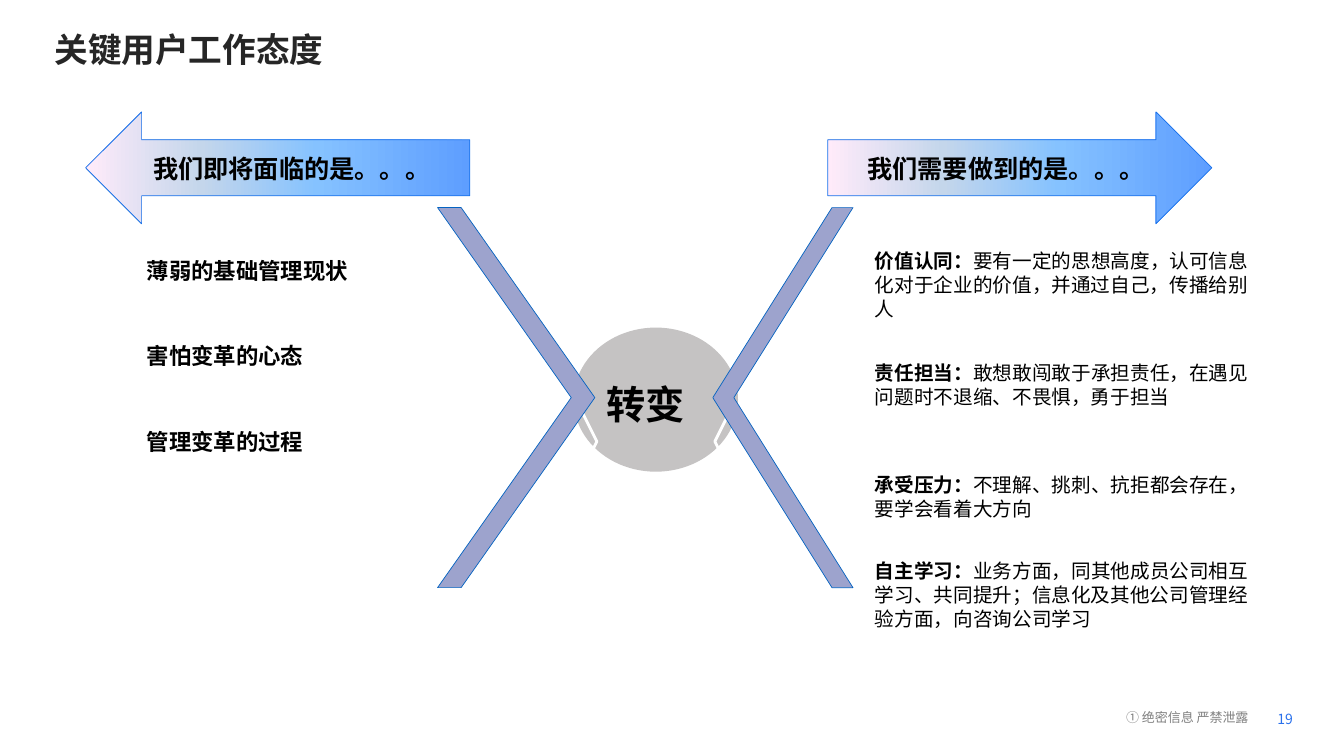
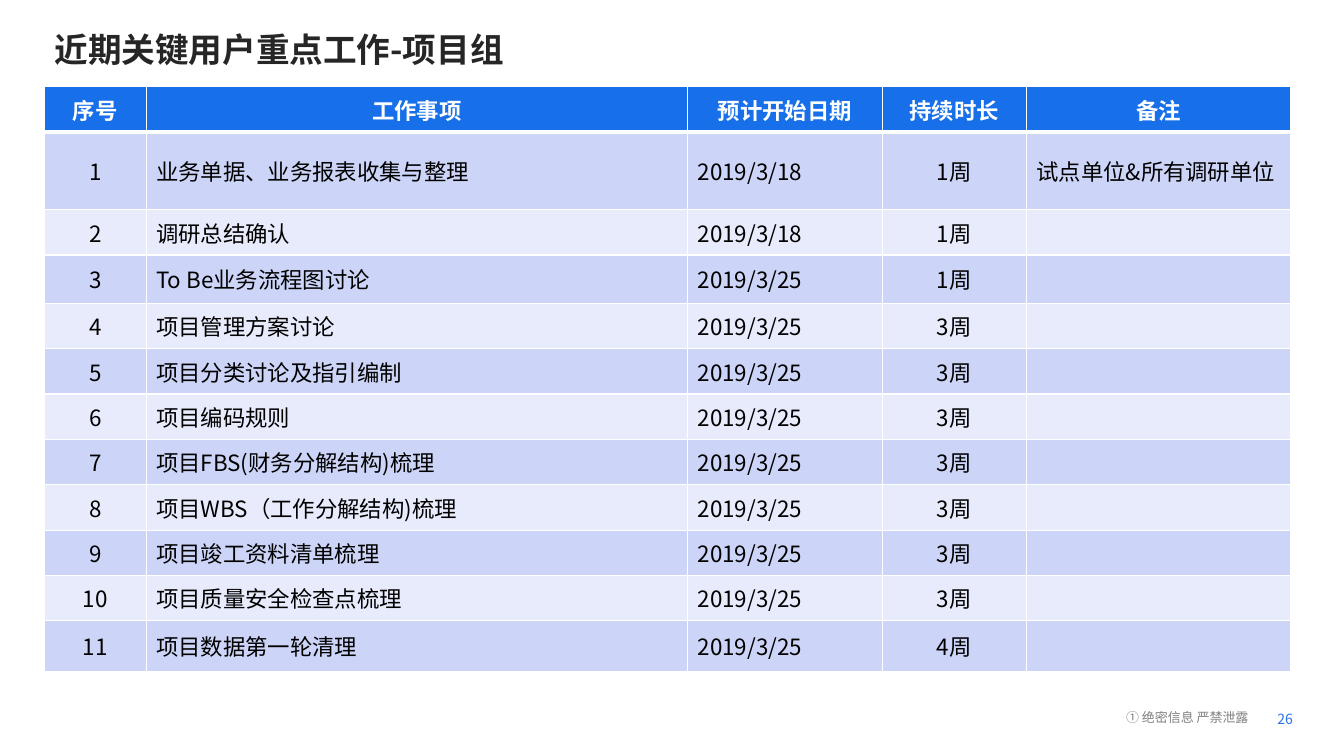
from dataclasses import dataclass
from typing import Any

import lxml.etree
import pptx
import pptx.dml.color
import pptx.enum.shapes
import pptx.enum.text
import pptx.oxml
import pptx.oxml.ns
import pptx.util

Inches = pptx.util.Inches
Shapes = pptx.enum.shapes.MSO_SHAPE
Align = pptx.enum.text.PP_ALIGN
Anchor = pptx.enum.text.MSO_ANCHOR


# Theme
@dataclass(frozen=True)
class Theme:
    font: str = "Noto Sans CJK SC"
    title_color: str = "262626"
    text_color: str = "000000"
    white: str = "FFFFFF"
    blue: str = "1770EA"
    page_color: str = "2A71EC"
    footer_color: str = "808080"
    circle: str = "C5C3C3"
    chevron: str = "9DA3CD"
    chevron_line: str = "0563C1"
    bands: tuple[str, str] = ("CCD5F7", "E8EBFB")
    gradient: tuple[tuple[int, str], ...] = (
        (0, "5E9EFF"), (40, "85C2FF"), (70, "C4D6EB"), (100, "FFEBFA"))
    title_size: float = 24
    hub_size: float = 28
    arrow_size: float = 18
    item_size: float = 16
    body_size: float = 14
    page_size: float = 10
    footer_size: float = 9.3
    line_ratio: float = 1.23


THEME = Theme()


@dataclass(frozen=True)
class Box:
    left: float
    top: float
    width: float
    height: float

    def lengths(self) -> tuple[int, int, int, int]:
        return (Inches(self.left), Inches(self.top),
                Inches(self.width), Inches(self.height))


@dataclass(frozen=True)
class Run:
    text: str
    size: float
    color: str = THEME.text_color
    bold: bool = False


@dataclass(frozen=True)
class Chevron:
    box: Box
    adjustment: float
    fill: str
    line: str
    line_width: float
    rotation: float = 0
    flipped: bool = False


@dataclass(frozen=True)
class Arrow:
    preset: Any
    box: Box
    text: str


@dataclass(frozen=True)
class Duty:
    top: float
    height: float
    heading: str
    text: str


@dataclass(frozen=True)
class Task:
    name: str
    start: str
    duration: str
    remark: str = ""
    height: float = 0.45


# Slide content
CHEVRONS = (
    Chevron(Box(5.77, 4.08, 0.15, 0.6), 1, THEME.blue, THEME.white, 2),
    Chevron(Box(7.09, 4.08, 0.15, 0.6), 1, THEME.blue, THEME.white, 2, flipped=True),
    Chevron(Box(4.34, 2.06, 1.56, 3.77), 0.85, THEME.chevron, THEME.chevron_line, 0.5),
    Chevron(Box(7.07, 2.06, 1.39, 3.77), 0.85, THEME.chevron, THEME.chevron_line, 0.5,
            rotation=180),
)
ARROWS = (
    Arrow(Shapes.LEFT_ARROW, Box(0.85, 1.11, 3.81, 1.11), "我们即将面临的是。。。"),
    Arrow(Shapes.RIGHT_ARROW, Box(8.21, 1.11, 3.81, 1.11), "我们需要做到的是。。。"),
)
CHALLENGES = ("薄弱的基础管理现状", "害怕变革的心态", "管理变革的过程")
DUTIES = (
    Duty(2.41, 0.81, "价值认同：",
         "要有一定的思想高度，认可信息化对于企业的价值，并通过自己，传播给别人"),
    Duty(3.53, 0.57, "责任担当：",
         "敢想敢闯敢于承担责任，在遇见问题时不退缩、不畏惧，勇于担当"),
    Duty(4.64, 0.57, "承受压力：", "不理解、挑刺、抗拒都会存在，要学会看着大方向"),
    Duty(5.49, 0.81, "自主学习：",
         "业务方面，同其他成员公司相互学习、共同提升；信息化及其他公司管理经验方面，向咨询公司学习"),
)
HEADINGS = ("序号", "工作事项", "预计开始日期", "持续时长", "备注")
COLUMN_WIDTHS = (1.01, 5.37, 1.93, 1.43, 2.62)
CENTERED_COLUMNS = (0, 3)
HEADER_HEIGHT = 0.45
TASKS = (
    Task("业务单据、业务报表收集与整理", "2019/3/18", "1周", "试点单位&所有调研单位", 0.77),
    Task("调研总结确认", "2019/3/18", "1周"),
    Task("To Be业务流程图讨论", "2019/3/25", "1周", height=0.48),
    Task("项目管理方案讨论", "2019/3/25", "3周"),
    Task("项目分类讨论及指引编制", "2019/3/25", "3周"),
    Task("项目编码规则", "2019/3/25", "3周"),
    Task("项目FBS(财务分解结构)梳理", "2019/3/25", "3周"),
    Task("项目WBS（工作分解结构)梳理", "2019/3/25", "3周"),
    Task("项目竣工资料清单梳理", "2019/3/25", "3周"),
    Task("项目质量安全检查点梳理", "2019/3/25", "3周"),
    Task("项目数据第一轮清理", "2019/3/25", "4周", height=0.5),
)


# Shared helpers
def rgb(color: str) -> pptx.dml.color.RGBColor:
    return pptx.dml.color.RGBColor.from_string(color)


def add_element(parent: Any, tag: str, **attributes: str) -> Any:
    element = lxml.etree.SubElement(parent, pptx.oxml.ns.qn(tag))
    for name, value in attributes.items():
        element.set(name, value)
    return element


def write_runs(paragraph: Any, runs: tuple[Run, ...], align: Any = Align.LEFT) -> None:
    paragraph.alignment = align
    for item in runs:
        run = paragraph.add_run()
        run.text = item.text
        run.font.size = pptx.util.Pt(item.size)
        run.font.bold = item.bold
        run.font.color.rgb = rgb(item.color)
        run.font.name = THEME.font
        add_element(run.font._element, "a:ea", typeface=THEME.font)


def fill_frame(frame: Any, *runs: Run, align: Any = Align.LEFT, anchor: Any = Anchor.TOP,
               wrap: bool = True, margin: float | None = None) -> None:
    frame.auto_size = pptx.enum.text.MSO_AUTO_SIZE.NONE
    frame.word_wrap = wrap
    frame.vertical_anchor = anchor
    if margin is not None:
        frame.margin_left = frame.margin_right = Inches(margin)
        frame.margin_top = frame.margin_bottom = Inches(margin)
    paragraph = frame.paragraphs[0]
    paragraph.line_spacing = pptx.util.Pt(round(runs[0].size * THEME.line_ratio, 1))
    write_runs(paragraph, runs, align)


def add_text(slide: Any, box: Box, *runs: Run, **options: Any) -> None:
    fill_frame(slide.shapes.add_textbox(*box.lengths()).text_frame, *runs, **options)


def add_shape(slide: Any, preset: Any, box: Box, fill: str | None = None,
              line: str | None = None, line_width: float = 0.5) -> Any:
    shape = slide.shapes.add_shape(preset, *box.lengths())
    shape.shadow.inherit = False
    if fill:
        shape.fill.solid()
        shape.fill.fore_color.rgb = rgb(fill)
    if line:
        shape.line.color.rgb = rgb(line)
        shape.line.width = pptx.util.Pt(line_width)
    else:
        shape.line.fill.background()
    return shape


def add_slide(presentation: Any, title: str, page: int) -> Any:
    slide = presentation.slides.add_slide(presentation.slide_layouts[5])
    placeholder = slide.shapes.title
    placeholder.left, placeholder.top, placeholder.width, placeholder.height = (
        Box(0.44, 0.23, 10.6, 0.51).lengths())
    fill_frame(placeholder.text_frame,
               Run(title, THEME.title_size, THEME.title_color, True))
    add_text(slide, Box(12.67, 7.05, 0.23, 0.17),
             Run(str(page), THEME.page_size, THEME.page_color),
             anchor=Anchor.MIDDLE, wrap=False, margin=0)
    add_text(slide, Box(11.16, 7.02, 1.33, 0.19),
             Run("① 绝密信息 严禁泄露", THEME.footer_size, THEME.footer_color),
             anchor=Anchor.MIDDLE, margin=0.01)
    return slide


# Attitude slide
def add_chevron(slide: Any, chevron: Chevron) -> None:
    shape = add_shape(slide, Shapes.CHEVRON, chevron.box, chevron.fill,
                      chevron.line, chevron.line_width)
    shape.adjustments[0] = chevron.adjustment
    shape.rotation = chevron.rotation
    if chevron.flipped:
        shape._element.spPr.find(pptx.oxml.ns.qn("a:xfrm")).set("flipH", "1")


def add_arrow(slide: Any, arrow: Arrow) -> None:
    shape = add_shape(slide, arrow.preset, arrow.box, line=THEME.blue)
    shape.fill.gradient()
    shape.fill.gradient_angle = 180
    stops = shape._element.spPr.find(".//" + pptx.oxml.ns.qn("a:gsLst"))
    for stop in list(stops):
        stops.remove(stop)
    for position, color in THEME.gradient:
        stop = add_element(stops, "a:gs", pos=str(position * 1000))
        add_element(stop, "a:srgbClr", val=color)
    fill_frame(shape.text_frame, Run(arrow.text, THEME.arrow_size, bold=True),
               align=Align.CENTER, anchor=Anchor.MIDDLE, wrap=False)


def build_attitude_slide(presentation: Any) -> None:
    slide = add_slide(presentation, "关键用户工作态度", 19)
    add_shape(slide, Shapes.OVAL, Box(5.69, 3.25, 1.63, 1.43), THEME.circle)
    for chevron in CHEVRONS:
        add_chevron(slide, chevron)
    add_text(slide, Box(5.92, 3.71, 1.28, 0.59), Run("转变", THEME.hub_size, bold=True))
    for arrow in ARROWS:
        add_arrow(slide, arrow)
    for index, challenge in enumerate(CHALLENGES):
        add_text(slide, Box(1.36, 2.49 + 0.85 * index, 2.84, 0.38),
                 Run(challenge, THEME.item_size, bold=True))
    for duty in DUTIES:
        add_text(slide, Box(8.58, duty.top, 4.07, duty.height),
                 Run(duty.heading, THEME.body_size, bold=True),
                 Run(duty.text, THEME.body_size))


# Task table slide
def set_borders(cell: Any, top: float, bottom: float) -> None:
    properties = cell._tc.get_or_add_tcPr()
    widths = {"a:lnL": 1, "a:lnR": 1, "a:lnT": top, "a:lnB": bottom}
    for index, (tag, width) in enumerate(widths.items()):
        line = add_element(properties, tag, w=str(pptx.util.Pt(width)))
        add_element(add_element(line, "a:solidFill"), "a:srgbClr", val=THEME.white)
        properties.insert(index, line)


def build_task_slide(presentation: Any) -> None:
    slide = add_slide(presentation, "近期关键用户重点工作-项目组", 26)
    rows = [HEADINGS] + [(str(number), task.name, task.start, task.duration, task.remark)
                         for number, task in enumerate(TASKS, 1)]
    heights = [HEADER_HEIGHT] + [task.height for task in TASKS]
    box = Box(0.44, 0.86, sum(COLUMN_WIDTHS), sum(heights))
    table = slide.shapes.add_table(len(rows), len(HEADINGS), *box.lengths()).table
    table.first_row = table.horz_banding = False
    for column, width in zip(table.columns, COLUMN_WIDTHS):
        column.width = Inches(width)
    for row_index, (texts, height) in enumerate(zip(rows, heights)):
        table.rows[row_index].height = Inches(height)
        header = row_index == 0
        for column_index, text in enumerate(texts):
            cell = table.cell(row_index, column_index)
            cell.vertical_anchor = Anchor.MIDDLE
            cell.fill.solid()
            cell.fill.fore_color.rgb = rgb(
                THEME.blue if header else THEME.bands[(row_index - 1) % 2])
            set_borders(cell, 3 if row_index == 1 else 1, 3 if header else 1)
            centered = header or column_index in CENTERED_COLUMNS
            color = THEME.white if header else THEME.text_color
            write_runs(cell.text_frame.paragraphs[0],
                       (Run(text, THEME.item_size, color, header),),
                       Align.CENTER if centered else Align.LEFT)


def main() -> None:
    presentation = pptx.Presentation()
    presentation.slide_width = Inches(13.33)
    presentation.slide_height = Inches(7.5)
    build_attitude_slide(presentation)
    build_task_slide(presentation)
    presentation.save("out.pptx")


if __name__ == "__main__":
    main()
